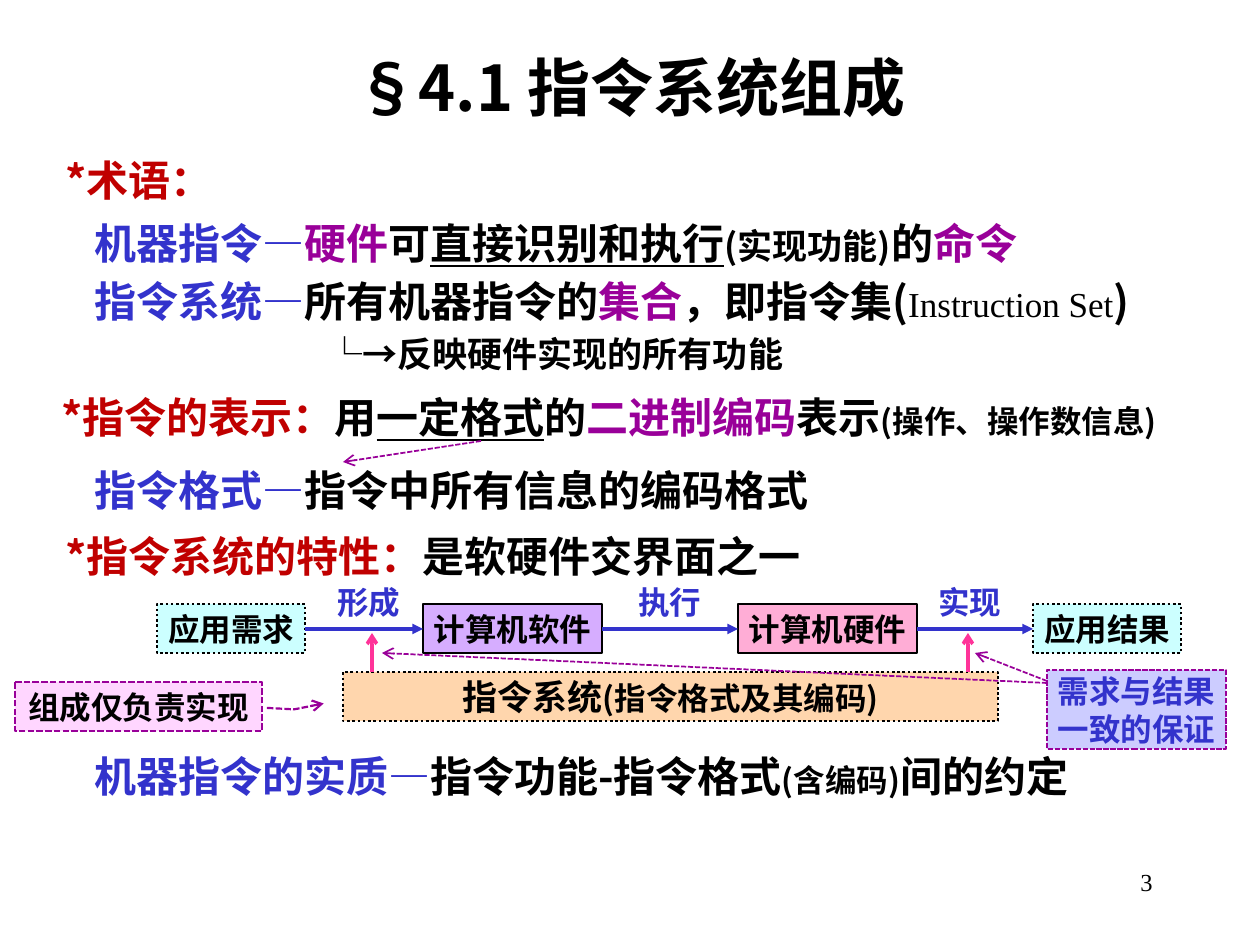
from lxml.etree import SubElement as Sub
from pptx import Presentation
from pptx.dml.color import RGBColor as Rgb
from pptx.enum.dml import MSO_LINE as Dash
from pptx.enum.shapes import MSO_CONNECTOR as Conn, MSO_SHAPE as Kind
from pptx.enum.text import MSO_ANCHOR as Anchor, MSO_AUTO_SIZE as Auto, PP_ALIGN as Align
from pptx.oxml.ns import qn
from pptx.util import Emu, Inches, Pt

SCALE = 914400 / 126
SANS, SERIF = "Noto Sans CJK SC", "Times New Roman"
BLACK = Rgb(0, 0, 0)
RED = Rgb(0xC0, 0, 0)
BLUE = Rgb(0x33, 0x33, 0xCC)
PLUM = Rgb(0x99, 0, 0x99)
ROSE = Rgb(0xFF, 0x33, 0x99)
PINK = Rgb(0xFF, 0x99, 0xCC)
MAUVE = Rgb(0xCC, 0x99, 0xFF)
AQUA = Rgb(0xCC, 0xFF, 0xFF)
PEACH = Rgb(0xFF, 0xCC, 0x99)
LILAC = Rgb(0xCC, 0xCC, 0xFF)
BLUSH = Rgb(0xFF, 0xCC, 0xFF)


def px(num):
    """Turn pixels into EMU."""
    return Emu(round(num * SCALE))


def style(font, size, color, face=SANS, bold=True):
    """Set every part of a font."""
    font.size, font.bold, font.name = Pt(size), bold, face
    font.color.rgb = color
    Sub(font._element, qn("a:ea")).set("typeface", face)


def write(para, runs, size, color=BLACK):
    """Fill a paragraph with (text, changes) runs over one base font."""
    style(para.font, size, color)
    for text, diff in runs:
        run = para.add_run()
        run.text = text
        if diff:
            style(run.font, diff.get("size", size), diff.get("color", color),
                  diff.get("face", SANS), diff.get("bold", True))
            if diff.get("under"):
                run.font.underline = True


def prose(slide, box, rows, size=24, align=Align.LEFT):
    """Add a text box of (indent, spacing, runs) rows."""
    frame = slide.shapes.add_textbox(*map(px, box)).text_frame
    frame.word_wrap = True
    frame.auto_size = Auto.SHAPE_TO_FIT_TEXT
    for num, (indent, space, runs) in enumerate(rows):
        para = frame.add_paragraph() if num else frame.paragraphs[0]
        para.alignment, para.line_spacing = align, space
        if indent:
            para._p.get_or_add_pPr().set("marL", str(px(indent)))
        write(para, runs, size)


def center(shape, runs, color=BLACK, size=18):
    """Centre one paragraph in a shape with thin margins."""
    frame = shape.text_frame
    frame.word_wrap, frame.vertical_anchor = True, Anchor.MIDDLE
    frame.margin_left = frame.margin_right = Inches(0.02)
    frame.margin_top = frame.margin_bottom = Inches(0.01)
    para = frame.paragraphs[0]
    para.alignment = Align.CENTER
    write(para, runs, size, color)


def block(slide, box, fill, edge, width, dash=None, clear=False, kind=Kind.RECTANGLE):
    """Add a filled and outlined shape."""
    shape = slide.shapes.add_shape(kind, *map(px, box))
    shape.shadow.inherit = False
    shape.fill.solid()
    shape.fill.fore_color.rgb = fill
    if clear:
        tint = shape._element.spPr.find(".//" + qn("a:srgbClr"))
        Sub(tint, qn("a:alpha")).set("val", "80000")
    trace(shape.line, edge, width, dash)
    return shape


def trace(line, color, width, dash=None, tip=None):
    """Set the look of a line."""
    line.color.rgb, line.width = color, Pt(width)
    if dash:
        line.dash_style = dash
    if tip:
        Sub(line._get_or_add_ln(), qn("a:tailEnd")).set("type", tip)


def arrow(slide, start, end, color, width, dash=None, tip="arrow"):
    """Draw a straight arrow between two points."""
    link = slide.shapes.add_connector(Conn.STRAIGHT, *map(px, start + end))
    trace(link.line, color, width, dash, tip)
    Sub(link._element.spPr, qn("a:effectLst"))


def flow(slide, box):
    """Draw the chain from need to result above the instruction set."""
    left, top, wide, high = box
    steps = (("应用需求", 0, 148, AQUA), ("计算机软件", 266, 179, MAUVE),
             ("计算机硬件", 581, 179, PINK), ("应用结果", 876, 148, AQUA))
    for text, x, w, fill in steps:
        end = fill == AQUA
        shape = block(slide, (left + x, top + 22, w, 49), fill, BLACK, 1.5,
                      Dash.ROUND_DOT if end else None, not end)
        center(shape, [(text, {})])
    for one, two in zip(steps, steps[1:]):
        arrow(slide, (left + one[1] + one[2], top + 47), (left + two[1], top + 47),
              BLUE, 2, tip="triangle")
    for text, x, w in (("形成", 168, 88), ("执行", 473, 79), ("实现", 769, 88)):
        label = slide.shapes.add_textbox(*map(px, (left + x, top, w, 39)))
        center(label, [(text, {})], BLUE)
    base = block(slide, (left + 186, top + high - 49, 655, 49), PEACH, BLACK, 1.5,
                 Dash.ROUND_DOT, True)
    center(base, [("指令系统", {}), ("(指令格式及其编码)", {"size": 18})], size=20)
    for x in (left + 215, left + 811):
        arrow(slide, (x, top + high - 49), (x, top + 51), ROSE, 2)


def proof(slide, box):
    """Draw the note on need and result with its two pointers."""
    left, top = box[:2]
    for y, x in ((11, -72), (13, -665)):
        arrow(slide, (left, top + y), (left + x, top - 17), PLUM, 1, Dash.SQUARE_DOT)
    shape = block(slide, box, LILAC, PLUM, 1, Dash.SQUARE_DOT)
    center(shape, [("需求与结果一致的保证", {})], BLUE)


def duty(slide, box):
    """Draw the callout on what the organisation does."""
    shape = block(slide, box, BLUSH, PLUM, 1.25, Dash.SQUARE_DOT, True, Kind.LINE_CALLOUT_2)
    for num, val in enumerate((0.53, 1.02, 0.56, 1.13, 0.44, 1.25)):
        shape.adjustments[num] = val
    trace(shape.line, PLUM, 1.25, tip="arrow")
    center(shape, [("组成仅负责实现", {})])


def terms(slide, box):
    """Write the list of terms."""
    red, blue, plum = {"color": RED}, {"color": BLUE}, {"color": PLUM}
    small = {"size": 20}
    prose(slide, box, [
        (28, 1.25, [("*术语：", red)]),
        (57, 1.25, [("机器指令—", blue), ("硬件", plum), ("可", {}),
                    ("直接识别和执行", {"under": True}), ("(实现功能)", small),
                    ("的", {}), ("命令", plum)]),
        (57, 1.15, [("指令系统—", blue), ("所有机器指令的", {}), ("集合", plum),
                    ("，即指令集(", {}),
                    ("Instruction Set", {"size": 20, "face": SERIF, "bold": False}),
                    (")", {})]),
        (290, 1.15, [("└", {"size": 20, "bold": False}),
                     ("→反映硬件实现的所有功能", small)])])


def points(slide, box):
    """Write the single lines on form, features and essence."""
    left, top, wide, high = box
    red, blue, small = {"color": RED}, {"color": BLUE}, {"size": 18}
    rows = (
        (-4, 0, 28, [("*指令的表示：", red), ("用", {}), ("一定格式", {"under": True}),
                     ("的", {}), ("二进制编码", {"color": PLUM}), ("表示", {}),
                     ("(操作、操作数信息)", small)]),
        (0, 73, 57, [("指令格式—", blue), ("指令中所有信息的编码格式", {})]),
        (0, 139, 28, [("*指令系统的特性：", red), ("是软硬件交界面之一", {})]),
        (0, 359, 57, [("机器指令的实质—", blue), ("指令功能-指令格式", {}),
                      ("(含编码)", small), ("间的约定", {})]))
    for x, y, indent, runs in rows:
        prose(slide, (left + x, top + y, wide, high), [(indent, 1.25, runs)])
    arrow(slide, (left + 456, top + 68), (left + 318, top + 89), PLUM, 1, Dash.SQUARE_DOT)


def main():
    """Build the slide and save it."""
    deck = Presentation()
    deck.slide_width, deck.slide_height = Inches(10), Inches(7.5)
    slide = deck.slides.add_slide(deck.slide_layouts[6])
    prose(slide, (116, 42, 1029, 88), [(0, 1.0, [("§4.1 指令系统组成", {})])], 36, Align.CENTER)
    prose(slide, (903, 861, 262, 63),
          [(0, 1.0, [("3", {"face": SERIF, "bold": False})])], 14, Align.RIGHT)
    terms(slide, (25, 136, 1221, 247))
    points(slide, (25, 373, 1221, 77))
    flow(slide, (157, 582, 1024, 139))
    proof(slide, (1047, 670, 179, 79))
    duty(slide, (15, 682, 247, 49))
    deck.save("out.pptx")


if __name__ == "__main__":
    main()
